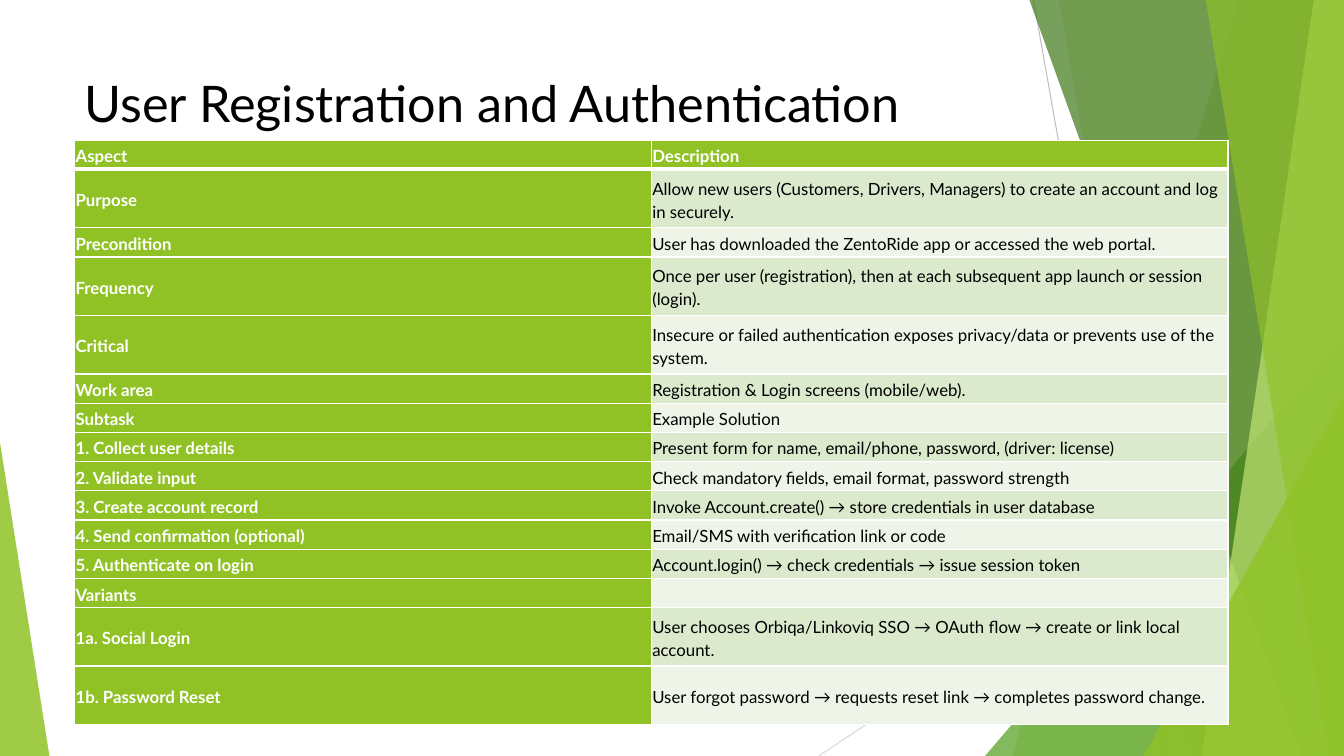
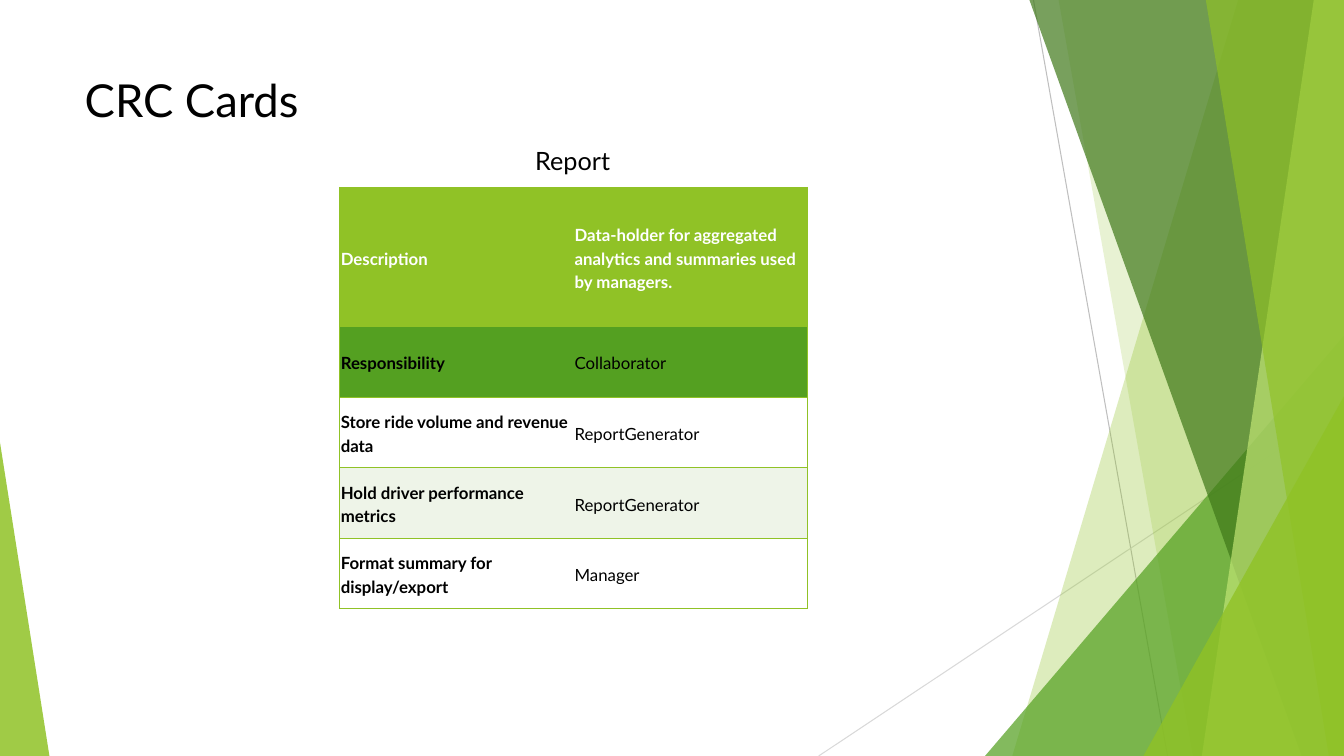
from pptx import Presentation
from pptx.dml.color import RGBColor as Rgb
from pptx.enum.shapes import MSO_CONNECTOR as Link, MSO_SHAPE as Form
from pptx.enum.text import MSO_ANCHOR as Anchor, MSO_AUTO_SIZE as Fit, PP_ALIGN as Align
from pptx.oxml.ns import qn
from pptx.util import Emu, Pt
from lxml.etree import SubElement as sub

PX = 9144  # 100 px to the inch
WIDE, HIGH = 1333, 750
FONT = "Lato"
HUES = {
    "lime": "90C226", "green": "54A021", "moss": "3F7819", "pale": "C0E474",
    "mint": "DBE9CD", "mist": "EEF4E8", "white": "FFFFFF", "black": "000000",
    "grey": "BFBFBF", "silver": "D9D9D9",
}

USE_CASE = [  # aspect, description, lines of text
    ("Aspect", "Description", 1),
    ("Purpose", "Allow new users (Customers, Drivers, Managers) to create an account "
     "and log in securely.", 2),
    ("Precondition", "User has downloaded the ZentoRide app or accessed the web portal.", 1),
    ("Frequency", "Once per user (registration), then at each subsequent app launch "
     "or session (login).", 2),
    ("Critical", "Insecure or failed authentication exposes privacy/data or prevents "
     "use of the system.", 2),
    ("Work area", "Registration & Login screens (mobile/web).", 1),
    ("Subtask", "Example Solution", 1),
    ("1. Collect user details",
     "Present form for name, email/phone, password, (driver: license)", 1),
    ("2. Validate input", "Check mandatory fields, email format, password strength", 1),
    ("3. Create account record",
     "Invoke Account.create() → store credentials in user database", 1),
    ("4. Send confirmation (optional)", "Email/SMS with verification link or code", 1),
    ("5. Authenticate on login",
     "Account.login() → check credentials → issue session token", 1),
    ("Variants", "", 1),
    ("1a. Social Login",
     "User chooses Orbiqa/Linkoviq SSO → OAuth flow → create or link local account.", 2),
    ("1b. Password Reset",
     "User forgot password → requests reset link → completes password change.", 2),
]

CARD = [  # left, right, fill
    ("Description",
     "Data-holder for aggregated analytics and summaries used by managers.", "lime"),
    ("Responsibility", "Collaborator", "green"),
    ("Store ride volume and revenue data", "ReportGenerator", "white"),
    ("Hold driver performance metrics", "ReportGenerator", "mist"),
    ("Format summary for display/export", "Manager", "white"),
]


def px(*nums):
    return [Emu(num * PX) for num in nums]


def hue(name):
    return Rgb.from_string(HUES[name])


def style(para, size, color="black", bold=False):
    font = para.font
    font.name, font.size, font.bold = FONT, Pt(size), bold
    font.color.rgb = hue(color)


# Backdrop parts
def tint(shape, color, alpha):
    shape.shadow.inherit = False
    shape.line.fill.background()
    shape.fill.solid()
    shape.fill.fore_color.rgb = hue(color)
    clr = next(shape.element.iter(qn("a:srgbClr")))
    sub(clr, qn("a:alpha"), val=str(alpha * 1000))


def line(group, start, end, color):
    rule = group.shapes.add_connector(Link.STRAIGHT, *px(*start, *end))
    rule.line.color.rgb = hue(color)
    rule.line.width = Pt(0.75)
    sub(rule.element.find(qn("p:spPr")), qn("a:effectLst"))


def band(group, top, foot, color, alpha):
    """Fill from a slanted edge to the right side of the slide."""
    pen = group.shapes.build_freeform(*px(top, 0))
    pen.add_line_segments([px(WIDE, 0), px(WIDE, HIGH), px(foot, HIGH)])
    tint(pen.convert_to_shape(), color, alpha)


def wedge(group, left, top, wide, tip, color, alpha):
    """Triangle that stands on the foot of the slide."""
    shape = group.shapes.add_shape(Form.ISOSCELES_TRIANGLE,
                                   *px(left, top, wide, HIGH - top))
    shape.adjustments[0] = tip
    tint(shape, color, alpha)


def backdrop(deck, slide):
    """Draw the facets as one group and hand it to the slide master."""
    group = slide.shapes.add_group_shape()
    line(group, (1025, 0), (1158, HIGH), "grey")
    line(group, (WIDE, 403), (812, HIGH), "silver")
    band(group, 1228, 1004, "lime", 30)
    band(group, 1050, 1183, "lime", 20)
    wedge(group, 977, 333, 356, 1, "green", 72)
    band(group, 1021, 1291, "moss", 70)
    band(group, 1303, 1192, "pale", 70)
    band(group, 1196, 1318, "lime", 65)
    wedge(group, 1134, 393, 199, 1, "lime", 80)
    wedge(group, 0, 439, 49, 0, "lime", 85)
    # Keep ids clear of those the master already has
    for num, node in enumerate(group.element.iter(qn("p:cNvPr")), 100):
        node.set("id", str(num))
    deck.slide_master.shapes.element.insert(2, group.element)


# Slide parts
def add_slide(deck, text, wide, high, size):
    slide = deck.slides.add_slide(deck.slide_layouts[5])
    title = slide.shapes.title
    title.left, title.top, title.width, title.height = px(74, 67, wide, high)
    frame = title.text_frame
    frame.text = text
    frame.auto_size, frame.vertical_anchor = Fit.NONE, Anchor.TOP
    frame.paragraphs[0].alignment = Align.LEFT
    style(frame.paragraphs[0], size)
    return slide


def label(slide, text, box):
    frame = slide.shapes.add_textbox(*px(*box)).text_frame
    frame.word_wrap, frame.auto_size = False, Fit.SHAPE_TO_FIT_TEXT
    frame.text = text
    style(frame.paragraphs[0], 18)


def add_grid(slide, left, top, col, rows):
    """Add a table with two equal columns and the given row heights."""
    grid = slide.shapes.add_table(len(rows), 2,
                                  *px(left, top, 2 * col, sum(rows))).table
    grid.first_row = grid.horz_banding = False
    for part in grid.columns:
        part.width = Emu(col * PX)
    for part, high in zip(grid.rows, rows):
        part.height = Emu(high * PX)
    return grid


def edge(cell, color, sizes):
    """Set the borders; a side without a size stays bare."""
    props = cell._tc.get_or_add_tcPr()
    for spot, side in enumerate("LRTB"):
        size = sizes.get(side, 0)
        rule = sub(props, qn("a:ln" + side), w=str(Pt(size)))
        if size:
            fill = sub(rule, qn("a:solidFill"))
            sub(fill, qn("a:srgbClr"), val=HUES[color])
        else:
            sub(rule, qn("a:noFill"))
        props.insert(spot, rule)


def put(cell, text, fill, color, bold):
    cell.fill.solid()
    cell.fill.fore_color.rgb = hue(fill)
    cell.vertical_anchor = Anchor.MIDDLE
    cell.margin_left = cell.margin_right = Emu(PX)
    cell.margin_top = cell.margin_bottom = Emu(PX)
    cell.text = text
    para = cell.text_frame.paragraphs[0]
    para.line_spacing, para.space_after = 1.15, Pt(8)
    style(para, 12, color, bold)


def case_table(slide):
    grid = add_grid(slide, 74, 139, 572, [29 * lines for *_, lines in USE_CASE])
    for row, (*texts, _) in enumerate(USE_CASE):
        sizes = {"L": 1, "R": 1, "T": 3 if row == 1 else 1, "B": 1 if row else 3}
        for col, text in enumerate(texts):
            cell = grid.cell(row, col)
            if row == 0 or col == 0:
                put(cell, text, "lime", "white", True)
            else:
                put(cell, text, "mint" if row % 2 else "mist", "black", False)
            edge(cell, "white", sizes)


def card_table(slide):
    grid = add_grid(slide, 337, 186, 232, [138] + [70] * 4)
    for row, (*texts, fill) in enumerate(CARD):
        for col, text in enumerate(texts):
            cell = grid.cell(row, col)
            put(cell, text, fill, "black" if row else "white", row == 0 or col == 0)
            edge(cell, "lime", {"LR"[col]: 1, "T": 1, "B": 1})


def main():
    deck = Presentation()
    deck.slide_width, deck.slide_height = px(WIDE, HIGH)

    # Use case
    slide = add_slide(deck, "User Registration and Authentication", 940, 144, 36)
    backdrop(deck, slide)
    case_table(slide)

    # CRC card
    slide = add_slide(deck, "CRC Cards", 262, 67, 32.4)
    label(slide, "Report", (521, 139, 95, 40))
    card_table(slide)

    deck.save("out.pptx")


if __name__ == "__main__":
    main()
